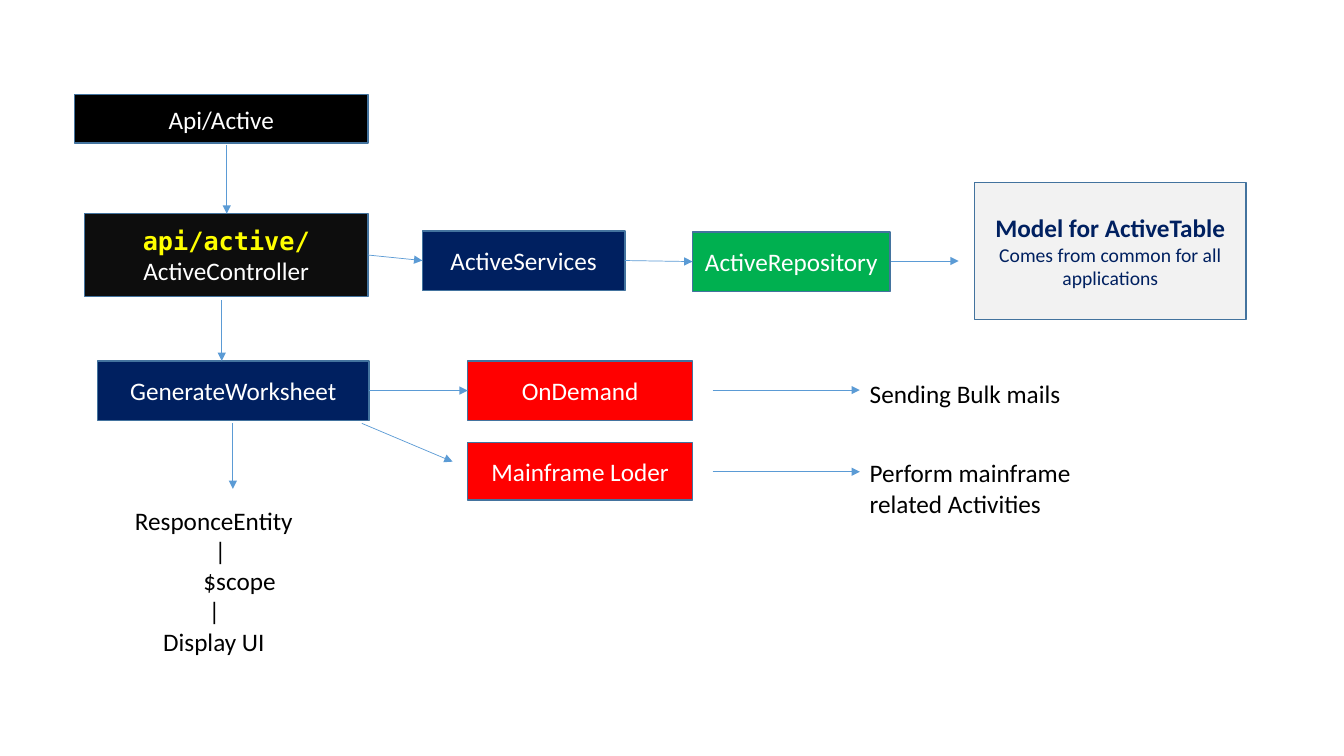
from dataclasses import dataclass

from lxml import etree
from pptx import Presentation
from pptx import util as u
from pptx.dml.color import RGBColor
from pptx.enum import shapes, text
from pptx.oxml import ns

COLUMNS, ROWS = 133.33, 75
NAVY, RED, WHITE, BLACK = "002060", "FF0000", "FFFFFF", "000000"
OUTLINE, ARROW = "43739E", "5B9BD5"
RIGHT_SITE, LEFT_SITE = 3, 1


@dataclass(frozen=True)
class Line:
    words: str
    color: str = WHITE
    size: int = 18
    font: str = "Calibri"
    bold: bool = False
    indent: float = 0


@dataclass(frozen=True)
class Box:
    column: float
    row: float
    columns: float
    rows: float
    lines: tuple[Line, ...]
    fill: str | None = None


@dataclass(frozen=True)
class Arrow:
    start: tuple[float, float]
    end: tuple[float, float]


@dataclass(frozen=True)
class Link:
    source: str
    target: str


presentation = Presentation()
presentation.slide_width = u.Inches(13.33)
presentation.slide_height = u.Inches(7.5)
slide = presentation.slides.add_slide(presentation.slide_layouts[6])


def across(columns: float) -> int:
    return round(presentation.slide_width * columns / COLUMNS)


def down(rows: float) -> int:
    return round(presentation.slide_height * rows / ROWS)


def paint(color_format, value: str) -> None:
    color_format.rgb = RGBColor.from_string(value)


def write(frame, lines: tuple[Line, ...], alignment) -> None:
    frame.word_wrap = True
    for index, line in enumerate(lines):
        paragraph = frame.add_paragraph() if index else frame.paragraphs[0]
        paragraph.alignment = alignment
        if line.indent:
            paragraph._p.get_or_add_pPr().set("marL", str(across(line.indent)))
        run = paragraph.add_run()
        run.text = line.words
        run.font.name = line.font
        run.font.size = u.Pt(line.size)
        run.font.bold = line.bold
        paint(run.font.color, line.color)


def draw_box(box: Box):
    place = across(box.column), down(box.row), across(box.columns), down(box.rows)
    if box.fill is None:
        shape = slide.shapes.add_textbox(*place)
        write(shape.text_frame, box.lines, text.PP_ALIGN.LEFT)
        shape.text_frame.auto_size = text.MSO_AUTO_SIZE.SHAPE_TO_FIT_TEXT
        return shape
    shape = slide.shapes.add_shape(shapes.MSO_SHAPE.RECTANGLE, *place)
    shape.shadow.inherit = False
    shape.fill.solid()
    paint(shape.fill.fore_color, box.fill)
    paint(shape.line.color, OUTLINE)
    shape.line.width = u.Pt(1)
    shape.text_frame.vertical_anchor = text.MSO_ANCHOR.MIDDLE
    write(shape.text_frame, box.lines, text.PP_ALIGN.CENTER)
    return shape


def draw_arrow(arrow: Arrow):
    connector = slide.shapes.add_connector(
        shapes.MSO_CONNECTOR.STRAIGHT,
        across(arrow.start[0]), down(arrow.start[1]),
        across(arrow.end[0]), down(arrow.end[1]),
    )
    paint(connector.line.color, ARROW)
    connector.line.width = u.Pt(0.5)
    properties = connector.element.spPr
    outline = properties.find(ns.qn("a:ln"))
    etree.SubElement(outline, ns.qn("a:tailEnd"), type="triangle")
    etree.SubElement(properties, ns.qn("a:effectLst"))
    return connector


def draw_link(link: Link, drawn: dict) -> None:
    connector = draw_arrow(Arrow((0, 0), (1, 1)))
    connector.begin_connect(drawn[link.source], RIGHT_SITE)
    connector.end_connect(drawn[link.target], LEFT_SITE)


BOXES = {
    "api": Box(7.4, 9.4, 29.1, 4.8, (Line("Api/Active"),), BLACK),
    "controller": Box(8.4, 21.2, 28.1, 8.2, (
        Line("api/active/", "FFFF00", font="DejaVu Sans Mono", bold=True),
        Line("ActiveController"),
    ), "0D0D0D"),
    "model": Box(96.7, 18.1, 26.9, 13.6, (
        Line("Model for ActiveTable", NAVY, bold=True),
        Line("Comes from common for all applications", NAVY, 14),
    ), "F2F2F2"),
    "services": Box(41.9, 22.9, 20.1, 5.9, (Line("ActiveServices"),), NAVY),
    "repository": Box(68.7, 23, 19.6, 5.9, (Line("ActiveRepository"),), "00B050"),
    "worksheet": Box(9.7, 35.8, 26.9, 5.9, (Line("GenerateWorksheet"),), NAVY),
    "on demand": Box(46.4, 35.8, 22.3, 5.9, (Line("OnDemand"),), RED),
    "mainframe": Box(46.4, 43.9, 22.3, 5.7, (Line("Mainframe Loder"),), RED),
    "mails": Box(85.3, 37, 28.1, 4, (Line("Sending Bulk mails", BLACK),)),
    "activities": Box(85.3, 44.9, 28.1, 7.1, (
        Line("Perform mainframe related Activities", BLACK),
    )),
    "response": Box(12.4, 49.6, 30.9, 16.2, (
        Line("ResponceEntity", BLACK),
        Line("|", BLACK, indent=7.9),
        Line("$scope", BLACK, indent=6.8),
        Line("|", BLACK, indent=7.3),
        Line("Display UI", BLACK, indent=2.8),
    )),
}
LINKS = (
    Link("controller", "services"),
    Link("services", "repository"),
    Link("worksheet", "on demand"),
)
ARROWS = (
    Arrow((22.5, 14.4), (22.5, 21.2)),
    Arrow((22, 29.8), (22, 35.8)),
    Arrow((88.4, 25.9), (95.1, 25.9)),
    Arrow((35.9, 42), (44.9, 45.8)),
    Arrow((70.7, 38.7), (85.3, 38.7)),
    Arrow((70.7, 46.8), (85.3, 46.8)),
    Arrow((23.1, 42), (23.1, 48.5)),
)

drawn = {name: draw_box(box) for name, box in BOXES.items()}
for link in LINKS:
    draw_link(link, drawn)
for arrow in ARROWS:
    draw_arrow(arrow)

presentation.save("out.pptx")
